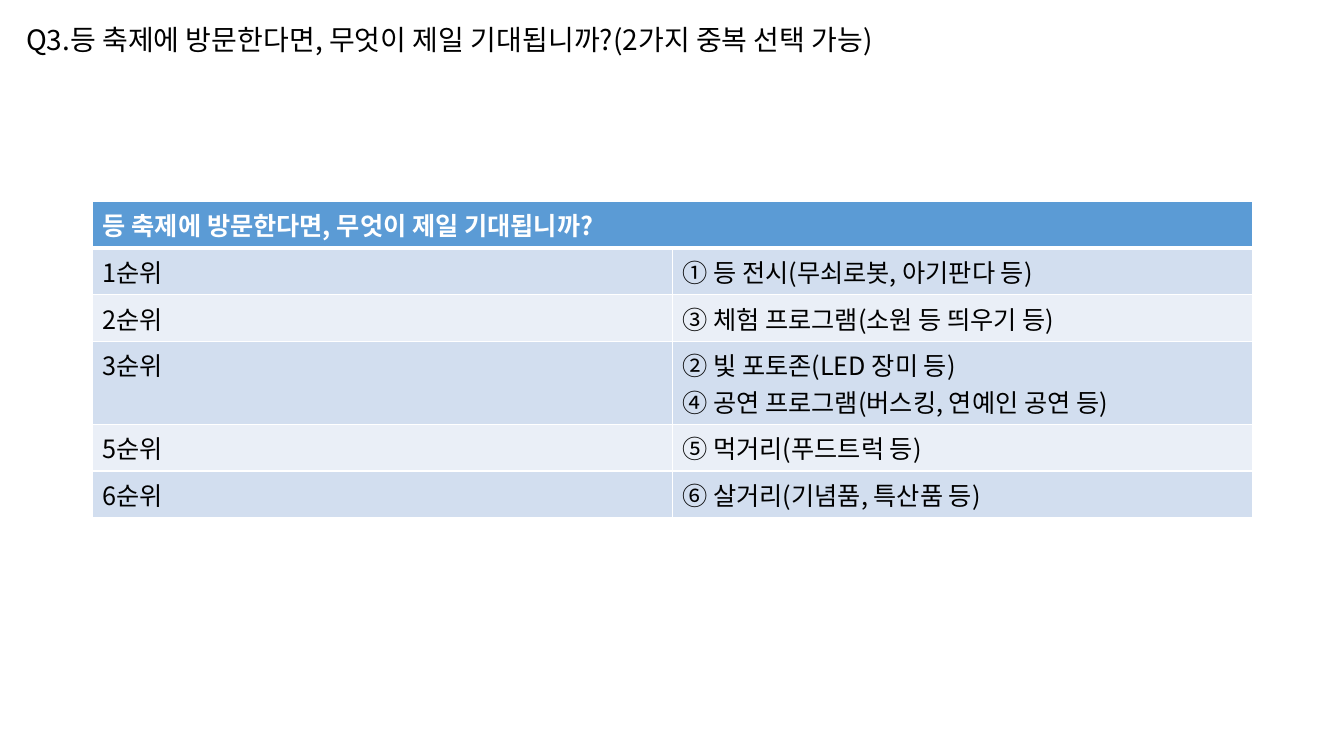
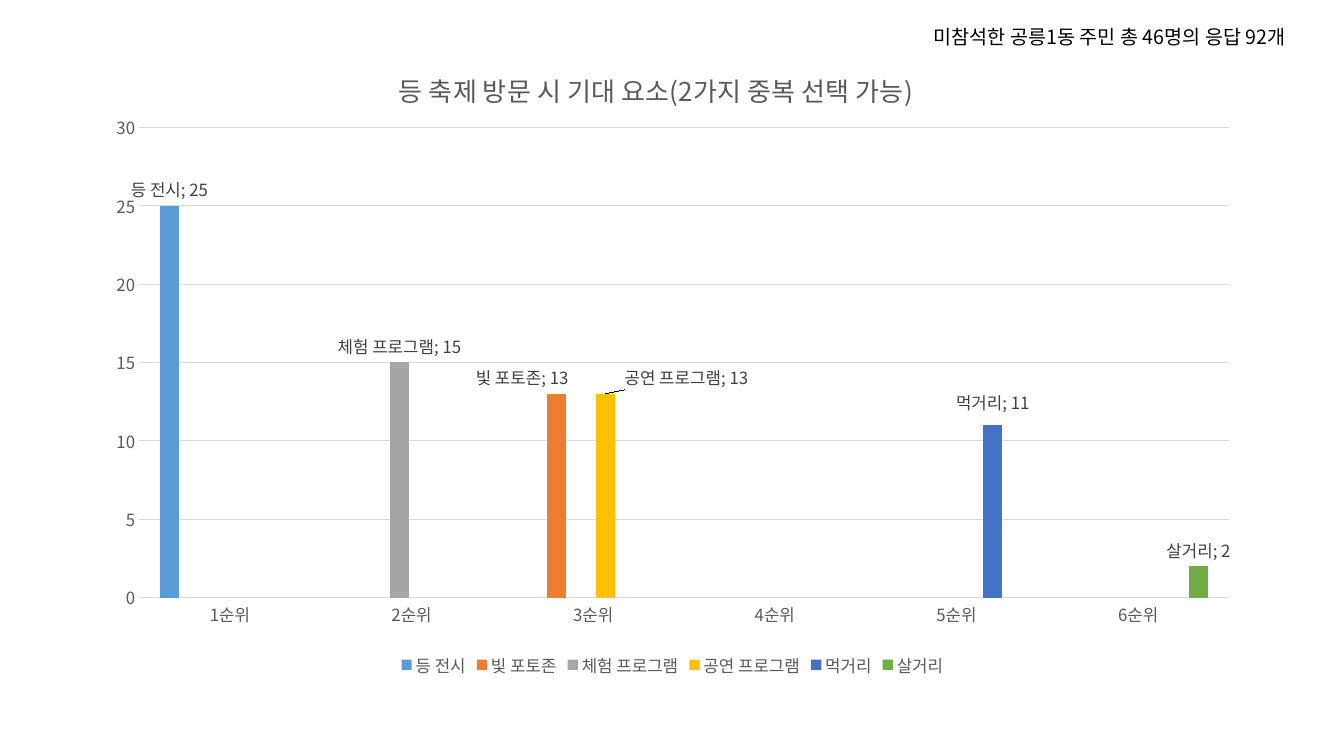
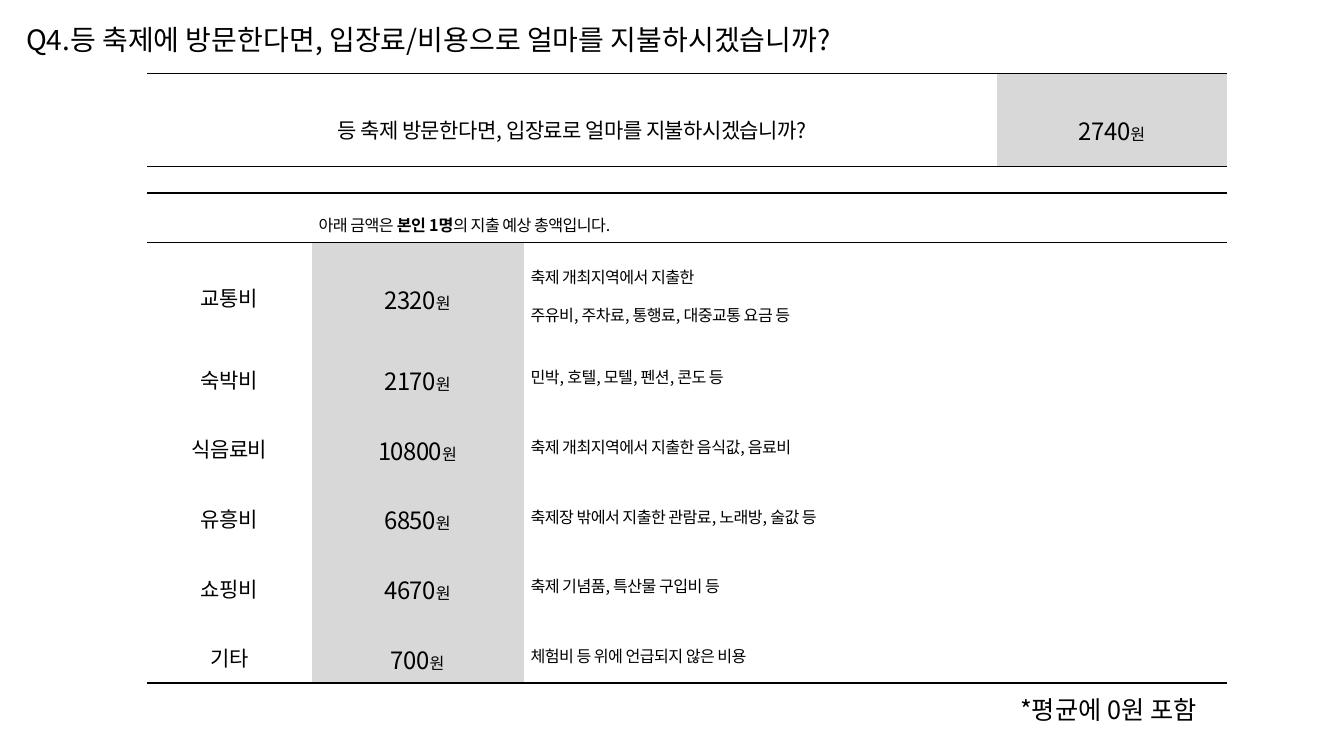
from dataclasses import dataclass

import lxml.etree
import pptx
import pptx.chart.data
import pptx.dml.color
import pptx.enum.chart
import pptx.enum.text
import pptx.oxml.ns
import pptx.util

FONT = "Noto Sans CJK KR"
BLACK, WHITE, GREY = "000000", "FFFFFF", "D8D8D8"
HEADER_BLUE, BAND_DARK, BAND_LIGHT = "5B9BD5", "D2DEEF", "EAEFF7"
CHART_TEXT, LABEL_TEXT, GRID_LINE = "595959", "404040", "D9D9D9"
ALIGN = pptx.enum.text.PP_ALIGN
qn = pptx.oxml.ns.qn

presentation = pptx.Presentation()
presentation.slide_width = pptx.util.Inches(13.33)
presentation.slide_height = pptx.util.Inches(7.5)


@dataclass(frozen=True)
class Area:
    """A rectangle in percent of the slide's width and height."""
    left: float
    top: float
    width: float
    height: float

    def lengths(self) -> tuple[int, int, int, int]:
        """Return left, top, width and height as slide lengths."""
        across = presentation.slide_width / 100
        down = presentation.slide_height / 100
        return (round(self.left * across), round(self.top * down),
                round(self.width * across), round(self.height * down))


@dataclass(frozen=True)
class Run:
    """A stretch of text; an unset size or weight follows the paragraph."""
    text: str
    size: float | None = None
    bold: bool | None = None


@dataclass(frozen=True)
class TextStyle:
    """The look of whole paragraphs."""
    size: float
    color: str = BLACK
    bold: bool = False
    align: ALIGN = ALIGN.LEFT
    line_spacing: float | None = None
    tracking: int = 0


@dataclass(frozen=True)
class Cell:
    """A table cell: one tuple of runs for each paragraph."""
    paragraphs: tuple[tuple[Run, ...], ...] = ()
    style: TextStyle = TextStyle(18)
    fill: str | None = None
    span: int = 1


@dataclass(frozen=True)
class TableLook:
    """Rule widths by row boundary, column rule width, and cell layout."""
    rules: dict[int, float]
    color: str = BLACK
    column_rule: float = 0
    form: bool = False


@dataclass(frozen=True)
class Answer:
    """One chart series: its category, votes and label shift."""
    name: str
    rank: int
    votes: int
    color: str
    shift: tuple[float, float] | None = None


def rgb(color: str) -> pptx.dml.color.RGBColor:
    """Turn a hex string into a colour."""
    return pptx.dml.color.RGBColor.from_string(color)


def set_font(font: pptx.text.text.Font, size: float, color: str, bold: bool = False) -> None:
    """Set the shared typeface with a size, colour and weight."""
    font.name = FONT
    font.size = pptx.util.Pt(size)
    font.bold = bold
    font.color.rgb = rgb(color)


def use_font_for_korean(root: lxml.etree.ElementBase) -> None:
    """Give Korean characters the typeface set for Latin ones."""
    for latin in list(root.iter(qn("a:latin"))):
        korean = lxml.etree.Element(qn("a:ea"), typeface=FONT)
        latin.addnext(korean)


def write_paragraphs(frame: pptx.text.text.TextFrame,
                     paragraphs: tuple[tuple[Run, ...], ...], style: TextStyle) -> None:
    """Fill a text frame with paragraphs in one style."""
    for index, runs in enumerate(paragraphs):
        paragraph = frame.add_paragraph() if index else frame.paragraphs[0]
        paragraph.alignment = style.align
        paragraph.line_spacing = style.line_spacing
        set_font(paragraph.font, style.size, style.color, style.bold)
        if style.tracking:
            properties = paragraph._p.pPr.find(qn("a:defRPr"))
            properties.set("spc", str(style.tracking))
        for part in runs:
            run = paragraph.add_run()
            run.text = part.text
            if part.size:
                run.font.size = pptx.util.Pt(part.size)
            if part.bold is not None:
                run.font.bold = part.bold


def add_text(slide: pptx.slide.Slide, area: Area, text: str, size: float,
             wrap: bool = False) -> None:
    """Add a text box that grows with its text."""
    frame = slide.shapes.add_textbox(*area.lengths()).text_frame
    frame.word_wrap = wrap
    frame.auto_size = pptx.enum.text.MSO_AUTO_SIZE.SHAPE_TO_FIT_TEXT
    write_paragraphs(frame, ((Run(text),),), TextStyle(size))


def add_question(slide: pptx.slide.Slide, text: str, width: float) -> None:
    """Add the question at the top left of a slide."""
    add_text(slide, Area(1.2, 2.27, width, 5.87), text, 20)


def set_borders(cell: pptx.table._Cell, widths: dict[str, float], color: str) -> None:
    """Set the four cell borders; a width of zero means no line."""
    properties = cell._tc.get_or_add_tcPr()
    for index, (side, width) in enumerate(widths.items()):
        line = lxml.etree.Element(qn(f"a:ln{side}"), w=str(pptx.util.Pt(width)))
        if width:
            fill = lxml.etree.SubElement(line, qn("a:solidFill"))
            lxml.etree.SubElement(fill, qn("a:srgbClr"), val=color)
        else:
            lxml.etree.SubElement(line, qn("a:noFill"))
        properties.insert(index, line)


def add_table(slide: pptx.slide.Slide, area: Area, columns: tuple[float, ...],
              rows: tuple[float, ...], content: list[list[Cell]], look: TableLook) -> None:
    """Add a table whose columns and rows share the area by weight."""
    left, top, width, height = area.lengths()
    table = slide.shapes.add_table(len(rows), len(columns), left, top, width, height).table
    table.first_row = table.horz_banding = False
    for column, weight in zip(table.columns, columns):
        column.width = round(width * weight / sum(columns))
    for row, weight in zip(table.rows, rows):
        row.height = round(height * weight / sum(rows))
    for row_index, row in enumerate(table.rows):
        for cell in row.cells:
            cell.fill.background()
            set_borders(cell, {"L": look.column_rule, "R": look.column_rule,
                               "T": look.rules.get(row_index, 0),
                               "B": look.rules.get(row_index + 1, 0)}, look.color)
    for row_index, entries in enumerate(content):
        column_index = 0
        for entry in entries:
            cell = table.cell(row_index, column_index)
            column_index += entry.span
            if entry.span > 1:
                cell.merge(table.cell(row_index, column_index - 1))
            if entry.fill:
                cell.fill.solid()
                cell.fill.fore_color.rgb = rgb(entry.fill)
            if look.form:
                cell.vertical_anchor = pptx.enum.text.MSO_ANCHOR.MIDDLE
                cell.margin_left = cell.margin_right = pptx.util.Inches(0.07)
                cell.margin_top = cell.margin_bottom = pptx.util.Inches(0.02)
            write_paragraphs(cell.text_frame, entry.paragraphs, entry.style)


def manual_layout(**values: float | str) -> lxml.etree.ElementBase:
    """Build a chart layout from shares of the chart's size."""
    layout = lxml.etree.Element(qn("c:layout"))
    manual = lxml.etree.SubElement(layout, qn("c:manualLayout"))
    for name, value in values.items():
        lxml.etree.SubElement(manual, qn(f"c:{name}"), val=str(value))
    return layout


def place_in_chart(parent: lxml.etree.ElementBase, layout: lxml.etree.ElementBase,
                   index: int) -> None:
    """Put a layout into a chart part, replacing any it has."""
    for present in parent.findall(qn("c:layout")):
        parent.remove(present)
    parent.insert(index, layout)


def add_labels(series: pptx.chart.series.BarSeries, answer: Answer) -> None:
    """Label a series with its name and value, shifted where asked."""
    outside = pptx.enum.chart.XL_LABEL_POSITION.OUTSIDE_END
    labels = series.data_labels
    labels.show_value = labels.show_series_name = True
    labels.position = outside
    set_font(labels.font, 12, LABEL_TEXT)
    if answer.shift:
        label = series.points[answer.rank - 1].data_label
        label.position = outside
        set_font(label.font, 12, LABEL_TEXT)
        across, down = answer.shift
        for element in series._element.iter(qn("c:dLbl")):
            element.find(qn("c:showSerName")).set("val", "1")
            place_in_chart(element, manual_layout(x=across, y=down), 1)
    for last_switch in list(series._element.iter(qn("c:showBubbleSize"))):
        separator = lxml.etree.Element(qn("c:separator"))
        separator.text = "; "
        last_switch.addnext(separator)


def style_axes(chart: pptx.chart.chart.Chart) -> None:
    """Style both axes and the horizontal grid."""
    for axis in (chart.category_axis, chart.value_axis):
        axis.major_tick_mark = axis.minor_tick_mark = pptx.enum.chart.XL_TICK_MARK.NONE
        set_font(axis.tick_labels.font, 12, CHART_TEXT)
    chart.value_axis.has_major_gridlines = True
    for line in (chart.category_axis.format.line,
                 chart.value_axis.major_gridlines.format.line):
        line.color.rgb = rgb(GRID_LINE)
        line.width = pptx.util.Pt(0.75)
    chart.value_axis.format.line.fill.background()
    chart.value_axis.minimum_scale = 0
    chart.value_axis.maximum_scale = 30
    chart.value_axis.major_unit = 5


def add_answer_chart(slide: pptx.slide.Slide, area: Area, title: str,
                     answers: list[Answer]) -> None:
    """Add a column chart of answers by rank."""
    ranks = range(1, 7)
    data = pptx.chart.data.CategoryChartData()
    data.categories = [f"{rank}순위" for rank in ranks]
    for answer in answers:
        data.add_series(answer.name, [answer.votes if rank == answer.rank else None
                                      for rank in ranks])
    chart = slide.shapes.add_chart(pptx.enum.chart.XL_CHART_TYPE.COLUMN_CLUSTERED,
                                   *area.lengths(), data).chart
    set_font(chart.font, 10, BLACK)
    write_paragraphs(chart.chart_title.text_frame, ((Run(title),),),
                     TextStyle(18.6, CHART_TEXT))
    chart.chart_title.include_in_layout = False
    place_in_chart(chart.chart_title._element,
                   manual_layout(xMode="edge", yMode="edge", x=0.26, y=0.04), 1)
    place_in_chart(chart._chartSpace.chart.plotArea,
                   manual_layout(layoutTarget="inner", xMode="edge", yMode="edge",
                                 x=0.04, y=0.14, w=0.94, h=0.73), 0)
    chart.has_legend = True
    chart.legend.position = pptx.enum.chart.XL_LEGEND_POSITION.BOTTOM
    chart.legend.include_in_layout = False
    set_font(chart.legend.font, 12, CHART_TEXT)
    style_axes(chart)
    plot = chart.plots[0]
    plot.gap_width, plot.overlap, plot.vary_by_categories = 219, -27, False
    for series, answer in zip(plot.series, answers):
        series.format.fill.solid()
        series.format.fill.fore_color.rgb = rgb(answer.color)
        add_labels(series, answer)
    use_font_for_korean(chart._chartSpace)


def add_slide() -> pptx.slide.Slide:
    """Add a slide with the blank layout."""
    return presentation.slides.add_slide(presentation.slide_layouts[6])


def build_ranking() -> None:
    """Build the table of expected attractions."""
    slide = add_slide()
    ranking = [
        ("1순위", "① 등 전시(무쇠로봇, 아기판다 등)"),
        ("2순위", "③ 체험 프로그램(소원 등 띄우기 등)"),
        ("3순위", "② 빛 포토존(LED 장미 등)", "④ 공연 프로그램(버스킹, 연예인 공연 등)"),
        ("5순위", "⑤ 먹거리(푸드트럭 등)"),
        ("6순위", "⑥ 살거리(기념품, 특산품 등)"),
    ]
    heading = "등 축제에 방문한다면, 무엇이 제일 기대됩니까?"
    content = [[Cell(((Run(heading),),), TextStyle(18, WHITE, True), HEADER_BLUE, 2)]]
    for index, (rank, *choices) in enumerate(ranking):
        band = BAND_LIGHT if index % 2 else BAND_DARK
        content.append([Cell(((Run(rank),),), fill=band),
                        Cell(tuple((Run(choice),) for choice in choices), fill=band)])
    rules = {boundary: 3 if boundary == 1 else 1 for boundary in range(7)}
    add_table(slide, Area(6.9, 26.67, 86.27, 36.4), (1, 1), (1, 1, 1, 1.75, 1, 1),
              content, TableLook(rules, WHITE, 1))
    add_question(slide, f"Q3.{heading}(2가지 중복 선택 가능)", 70.67)
    use_font_for_korean(slide._element)


def build_chart() -> None:
    """Build the chart of answers."""
    slide = add_slide()
    answers = [
        Answer("등 전시", 1, 25, "5B9BD5"),
        Answer("빛 포토존", 3, 13, "ED7D31", (-0.03, 0)),
        Answer("체험 프로그램", 2, 15, "A5A5A5"),
        Answer("공연 프로그램", 3, 13, "FFC000", (0.07, 0)),
        Answer("먹거리", 5, 11, "4472C4", (0, -0.01)),
        Answer("살거리", 6, 2, "70AD47"),
    ]
    add_answer_chart(slide, Area(6.9, 4.93, 86.27, 85.2),
                     "등 축제 방문 시 기대 요소(2가지 중복 선택 가능)", answers)
    add_text(slide, Area(68.72, 2.67, 31.28, 4.53),
             "미참석한 공릉1동 주민 총 46명의 응답 92개 ", 14)
    use_font_for_korean(slide._element)


def build_spending() -> None:
    """Build the tables of entrance fee and expected spending."""
    slide = add_slide()
    label = TextStyle(15, align=ALIGN.CENTER, line_spacing=1.6, tracking=-40)
    note = TextStyle(11.5, align=ALIGN.JUSTIFY, line_spacing=1.6, tracking=-40)

    def amount(won: int) -> Cell:
        """Return a grey cell with a sum of money."""
        return Cell(((Run(str(won), 17), Run("원", 11.5)),), label, GREY)

    expenses = [
        ("교통비", 2320, "축제 개최지역에서 지출한", "주유비, 주차료, 통행료, 대중교통 요금 등"),
        ("숙박비", 2170, "민박, 호텔, 모텔, 펜션, 콘도 등"),
        ("식음료비", 10800, "축제 개최지역에서 지출한 음식값, 음료비"),
        ("유흥비", 6850, "축제장 밖에서 지출한 관람료, 노래방, 술값 등"),
        ("쇼핑비", 4670, "축제 기념품, 특산물 구입비 등"),
        ("기타", 700, "체험비 등 위에 언급되지 않은 비용"),
    ]
    guide = (Run("아래 금액은 "), Run("본인 1명", bold=True), Run("의 지출 예상 총액입니다."))
    content = [[Cell(), Cell((guide,), note, span=2)]]
    for name, won, *details in expenses:
        content.append([Cell(((Run(name),),), label), amount(won),
                        Cell(tuple((Run(detail),) for detail in details), note)])
    add_table(slide, Area(10.95, 25.47, 80.35, 64.93), (1.63, 2.1, 6.97),
              (0.49, 0.92) + (0.69,) * 5, content,
              TableLook({0: 1.7, 1: 0.28, 7: 1.7}, form=True))
    fee = Cell(((Run("등 축제 방문한다면, 입장료로 얼마를 지불하시겠습니까?"),),), label)
    add_table(slide, Area(10.95, 9.73, 80.35, 12.27), (8.43, 2.28), (1,),
              [[fee, amount(2740)]], TableLook({0: 1, 1: 1}, form=True))
    add_text(slide, Area(75.17, 91.2, 15, 5.33), "*평균에 0원 포함", 18, wrap=True)
    add_question(slide, "Q4.등 축제에 방문한다면, 입장료/비용으로 얼마를 지불하시겠습니까?", 67.52)
    use_font_for_korean(slide._element)


build_ranking()
build_chart()
build_spending()
presentation.save("out.pptx")
